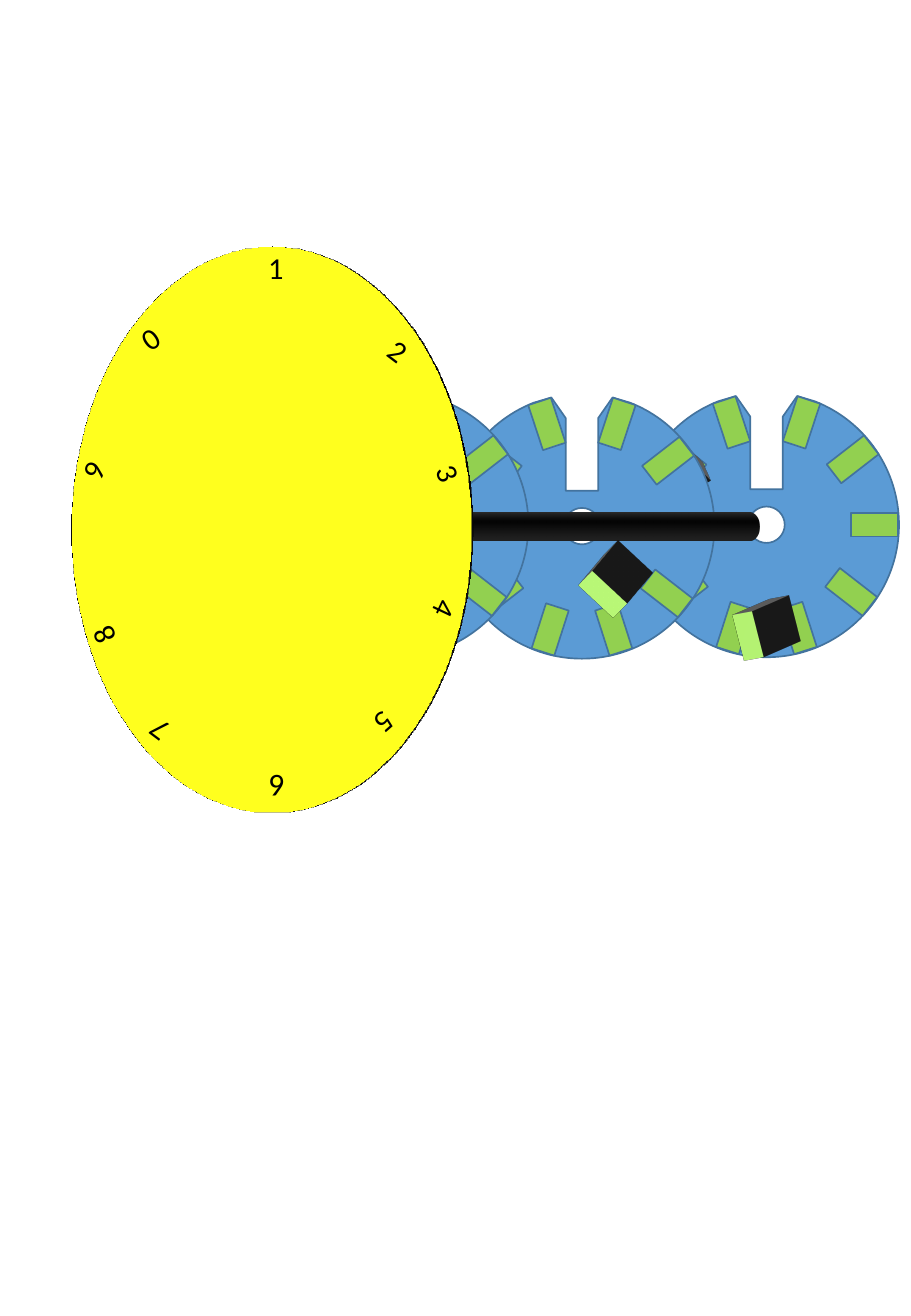
from dataclasses import dataclass
from math import atan2, cos, radians, sin, tan

from lxml.etree import SubElement
from pptx import Presentation
from pptx.dml.color import RGBColor
from pptx.enum.shapes import MSO_SHAPE
from pptx.enum.text import MSO_AUTO_SIZE
from pptx.oxml.ns import qn
from pptx.util import Cm, Pt


@dataclass(frozen=True)
class Theme:
    font: str = "Calibri"
    digit_size: int = 18
    digit: str = "000000"
    disc: str = "5B9BD5"
    tooth: str = "92D050"
    outline: str = "43739E"
    dial: str = "FFFF00"
    dial_side: str = "333333"
    block_side: str = "7F7F7F"
    shaft_side: str = "404040"


THEME = Theme()

# All lengths below are in centimetres.
DISC_CENTRES = [(16.03, 10.97), (12.17, 11.0), (8.28, 10.97)]
DISC_RADIUS = 2.77
HOLE_RADIUS = 0.38
NOTCH = [(-0.64, -2.69), (-0.34, -2.26), (-0.34, -0.74),
         (0.34, -0.74), (0.34, -2.26), (0.64, -2.69)]
RIM_START = 21.4
TOOTH_RADIUS = 2.26
TOOTH_SIZE = (0.5, 0.99)
# Bearing of the tooth from the top, and its tilt.
TEETH = [(18.9, 18.2), (52.8, 52.2), (90, 90), (128.4, 127.8), (162.9, 162.2)]
BLOCK_DEPTH = 1.52

# Digit, centre and rotation.
DIAL_DIGITS = [
    ("1", 5.78, 5.59, 0),
    ("2", 8.34, 7.34, 37.1),
    ("3", 9.39, 9.91, 68.4),
    ("4", 9.31, 12.75, 115.3),
    ("6", 5.78, 16.46, 180),
    ("5", 8.04, 15.14, 138.7),
    ("7", 3.31, 15.29, 216.8),
    ("8", 2.15, 13.28, 245),
    ("9", 1.94, 9.83, 295.5),
    ("0", 3.14, 7.06, 324.9),
]


def polar(centre, radius, angle):
    """Point on a circle; the angle runs clockwise from the top."""
    turn = radians(angle)
    return centre[0] + radius * sin(turn), centre[1] - radius * cos(turn)


def paint(shape, fill):
    shape.shadow.inherit = False
    shape.fill.solid()
    shape.fill.fore_color.rgb = RGBColor.from_string(fill)
    shape.line.color.rgb = RGBColor.from_string(THEME.outline)
    shape.line.width = Pt(1)


def extrude(shape, depth, color, lat=0, lon=0, rev=0):
    """Give a painted shape depth and turn it in space, in degrees."""
    properties = shape._element.spPr
    scene = SubElement(properties, qn("a:scene3d"))
    camera = SubElement(scene, qn("a:camera"), prst="orthographicFront")
    turns = {"lat": lat, "lon": lon, "rev": rev}
    SubElement(camera, qn("a:rot"),
               {name: str(round(angle % 360 * 60000)) for name, angle in turns.items()})
    SubElement(scene, qn("a:lightRig"), rig="threePt", dir="t")
    solid = SubElement(properties, qn("a:sp3d"), extrusionH=str(Cm(depth)))
    side = SubElement(solid, qn("a:extrusionClr"))
    SubElement(side, qn("a:srgbClr"), val=color)


def add_preset(shapes, kind, centre, size, fill, rotation=0):
    width, height = size
    shape = shapes.add_shape(kind, Cm(centre[0] - width / 2), Cm(centre[1] - height / 2),
                             Cm(width), Cm(height))
    shape.rotation = rotation
    paint(shape, fill)
    return shape


def add_text(shapes, text, centre, *, size, color, font, rotation=0, box=(0.84, 1.02)):
    textbox = shapes.add_textbox(Cm(centre[0] - box[0] / 2), Cm(centre[1] - box[1] / 2),
                                 Cm(box[0]), Cm(box[1]))
    textbox.rotation = rotation
    frame = textbox.text_frame
    frame.word_wrap = False
    frame.auto_size = MSO_AUTO_SIZE.SHAPE_TO_FIT_TEXT
    run = frame.paragraphs[0].add_run()
    run.text = text
    run.font.name = font
    run.font.size = Pt(size)
    run.font.color.rgb = RGBColor.from_string(color)


def bend(segment, centre):
    """Turn a straight path segment into an arc around the centre."""
    x0, y0, x1, y1 = [int(point.get(axis)) - origin
                      for point in (segment.getprevious()[0], segment[0])
                      for axis, origin in zip("xy", centre)] if len(segment) == 1 else []
    return x0, y0, x1, y1


def bend_segments(shape, centre, arcs):
    """Turn the numbered straight segments into arcs around the centre."""
    middle = (Cm(centre[0]) - shape.left, Cm(centre[1]) - shape.top)
    segments = list(shape._element.iter(qn("a:lnTo")))
    for segment in [segments[index] for index in arcs]:
        start, end = segment.getprevious()[-1], segment[-1]
        x0, y0, x1, y1 = [int(point.get(axis)) - origin
                          for point in (start, end) for axis, origin in zip("xy", middle)]
        sweep = atan2(x0 * y1 - y0 * x1, x0 * x1 + y0 * y1)
        pull = 4 / 3 * tan(sweep / 4)
        controls = [(x0 - pull * y0, y0 + pull * x0), (x1 + pull * y1, y1 - pull * x1)]
        segment.tag = qn("a:cubicBezTo")
        for x, y in controls:
            SubElement(segment, qn("a:pt"), x=str(round(x + middle[0])),
                       y=str(round(y + middle[1])))
        segment.append(end)


def add_disc(slide, centre):
    """Notched disc with a centre hole and ten teeth."""
    shapes = slide.shapes.add_group_shape().shapes
    hole = [polar(centre, HOLE_RADIUS, angle) for angle in (0, -90, -180, -270, 0)]
    notch = [(centre[0] + x, centre[1] + y) for x, y in NOTCH]
    rim = [polar(centre, DISC_RADIUS, angle)
           for angle in (RIM_START, 90, 180, 270, -RIM_START)]
    hole, edge = [[(Cm(x), Cm(y)) for x, y in contour] for contour in (hole, notch + rim)]
    builder = shapes.build_freeform(*hole[0])
    builder.add_line_segments(hole[1:], close=True)
    builder.move_to(*edge[0])
    builder.add_line_segments(edge[1:], close=True)
    disc = builder.convert_to_shape()
    hole_arcs = range(len(hole) - 1)
    first_rim_arc = len(hole_arcs) + len(notch)
    bend_segments(disc, centre, [*hole_arcs, *range(first_rim_arc, first_rim_arc + 4)])
    paint(disc, THEME.disc)
    for bearing, tilt in TEETH:
        for side in (-1, 1):
            add_preset(shapes, MSO_SHAPE.RECTANGLE, polar(centre, TOOTH_RADIUS, side * bearing),
                       TOOTH_SIZE, THEME.tooth, 90 - (90 - side * tilt) % 180)


def add_block(slide, centre, lat, rev, rotation=0):
    block = add_preset(slide.shapes, MSO_SHAPE.RECTANGLE, centre, TOOTH_SIZE,
                       THEME.tooth, rotation)
    extrude(block, BLOCK_DEPTH, THEME.block_side, lat=lat, lon=33, rev=rev)


def add_shaft(slide):
    shaft = add_preset(slide.shapes, MSO_SHAPE.OVAL, (5.68, 11.01), (0.58, 0.58), THEME.disc)
    extrude(shaft, 14.15, THEME.shaft_side, lon=45)


def add_dial(slide):
    shapes = slide.shapes.add_group_shape().shapes
    face = add_preset(shapes, MSO_SHAPE.OVAL, (5.69, 11.07), (11.84, 11.84), THEME.dial)
    extrude(face, 0.05, THEME.dial_side, lon=45)
    for digit, x, y, rotation in DIAL_DIGITS:
        add_text(shapes, digit, (x, y), size=THEME.digit_size, color=THEME.digit,
                 font=THEME.font, rotation=rotation)


def main():
    presentation = Presentation()
    presentation.slide_width = Cm(19.05)
    presentation.slide_height = Cm(27.51)
    slide = presentation.slides.add_slide(presentation.slide_layouts[6])

    right, middle, left = DISC_CENTRES
    add_disc(slide, right)
    add_block(slide, (13.74, 9.49), lat=10, rev=-60)
    add_disc(slide, middle)
    add_block(slide, (10.39, 10.63), lat=2, rev=-90)
    add_disc(slide, left)
    add_shaft(slide)
    add_block(slide, (12.6, 12.43), lat=2, rev=47)
    add_block(slide, (15.65, 13.3), lat=6, rev=-38, rotation=307.6)
    add_dial(slide)
    presentation.save("out.pptx")


if __name__ == "__main__":
    main()
